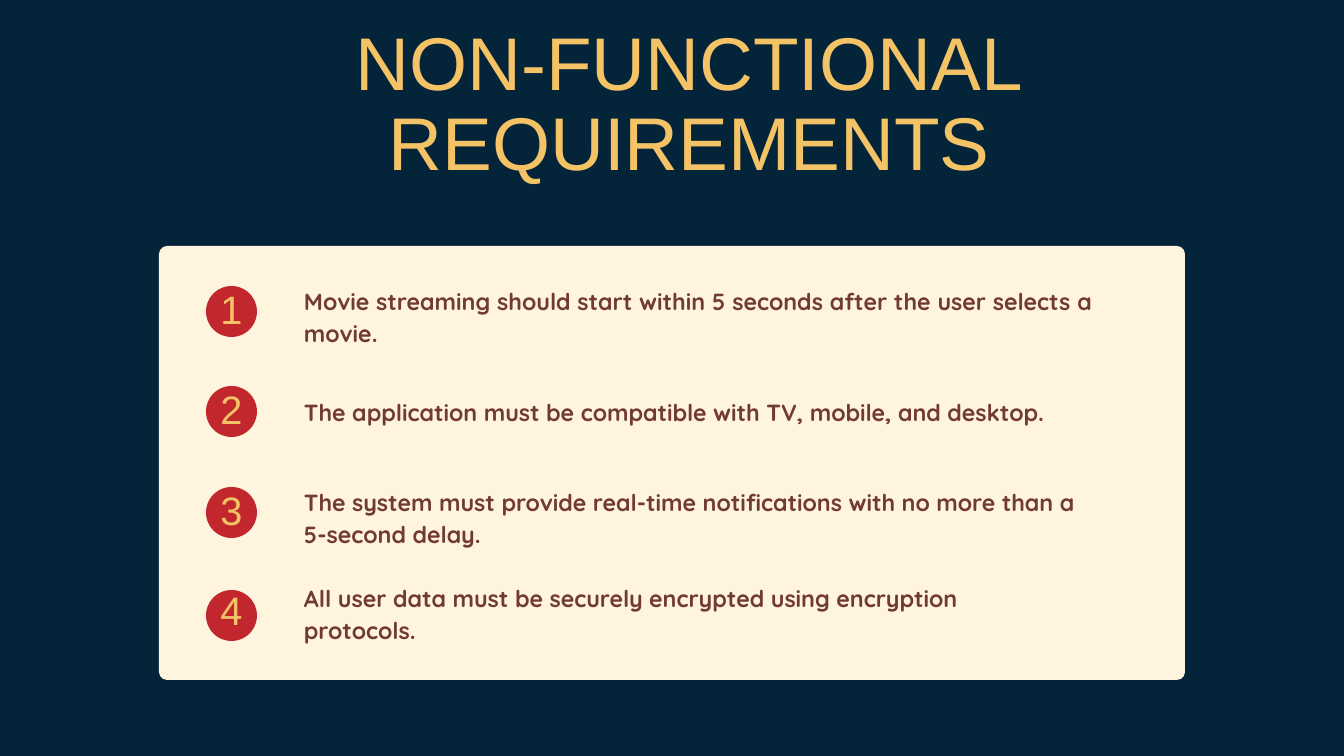
import pptx
import pptx.dml.color
import pptx.enum.shapes
import pptx.enum.text
import pptx.util

ALIGN = pptx.enum.text.PP_ALIGN
SHAPE = pptx.enum.shapes.MSO_SHAPE
EMU_PER_PX = 914400 / 67.2

NAVY, CREAM, RED = "04243A", "FFF5DF", "C1272D"
GOLD, BROWN = "F4C366", "723A36"

TITLE = ["NON-FUNCTIONAL", "REQUIREMENTS"]
# text, badge top, number top, text top, text width, text height, alignment
REQUIREMENTS = [
    ("Movie streaming should start within 5 seconds after the user selects a movie.",
     286, 290, 282, 788, 63, ALIGN.JUSTIFY),
    ("The application must be compatible with TV, mobile, and desktop.",
     386, 390, 394, 824, 31, ALIGN.LEFT),
    ("The system must provide real-time notifications with no more than a 5-second delay.",
     487, 491, 483, 788, 63, ALIGN.LEFT),
    ("All user data must be securely encrypted using encryption protocols.",
     590, 591, 579, 766, 63, ALIGN.LEFT),
]
CARD = (159, 246, 1026, 434)
CARD_RADIUS = 8
BADGE_LEFT, BADGE_SIZE = 206, 51
NUMBER_WIDTH, NUMBER_HEIGHT = 25, 43
TEXT_LEFT = 304


def px(length):
    return pptx.util.Emu(round(length * EMU_PER_PX))


def colour(value):
    return pptx.dml.color.RGBColor.from_string(value)


def add_filled(slide, kind, place, fill):
    shape = slide.shapes.add_shape(kind, *map(px, place))
    shape.shadow.inherit = False
    shape.fill.solid()
    shape.fill.fore_color.rgb = colour(fill)
    shape.line.fill.background()
    return shape


def add_text(slide, place, lines, font, size, leading, ink, align, bold=False):
    """Add a box without margins, one paragraph per line; leading is in points."""
    frame = slide.shapes.add_textbox(*map(px, place)).text_frame
    frame.word_wrap = True
    frame.margin_left = frame.margin_top = frame.margin_right = frame.margin_bottom = 0
    frame.text = "\n".join(lines)
    for para in frame.paragraphs:
        para.alignment = align
        para.line_spacing = pptx.util.Pt(leading)
        para.font.name = font
        para.font.size = pptx.util.Pt(size)
        para.font.bold = bold
        para.font.color.rgb = colour(ink)


def main():
    deck = pptx.Presentation()
    deck.slide_width, deck.slide_height = px(1344), px(756)
    slide = deck.slides.add_slide(deck.slide_layouts[6])
    slide.background.fill.solid()
    slide.background.fill.fore_color.rgb = colour(NAVY)

    card = add_filled(slide, SHAPE.ROUNDED_RECTANGLE, CARD, CREAM)
    card.adjustments[0] = CARD_RADIUS / min(CARD[2:])
    add_text(slide, (93, 26, 1193, 163), TITLE, "Arial", 80, 85.6, GOLD, ALIGN.CENTER)

    number_left = BADGE_LEFT + (BADGE_SIZE - NUMBER_WIDTH) / 2
    for number, row in enumerate(REQUIREMENTS, 1):
        text, badge_top, number_top, text_top, width, height, align = row
        add_filled(slide, SHAPE.OVAL,
                   (BADGE_LEFT, badge_top, BADGE_SIZE, BADGE_SIZE), RED)
        add_text(slide, (number_left, number_top, NUMBER_WIDTH, NUMBER_HEIGHT),
                 [str(number)], "Arial", 42.5, 45.5, GOLD, ALIGN.CENTER)
        add_text(slide, (TEXT_LEFT, text_top, width, height),
                 [text], "Quicksand", 25, 35, BROWN, align, bold=True)

    deck.save("out.pptx")


if __name__ == "__main__":
    main()
